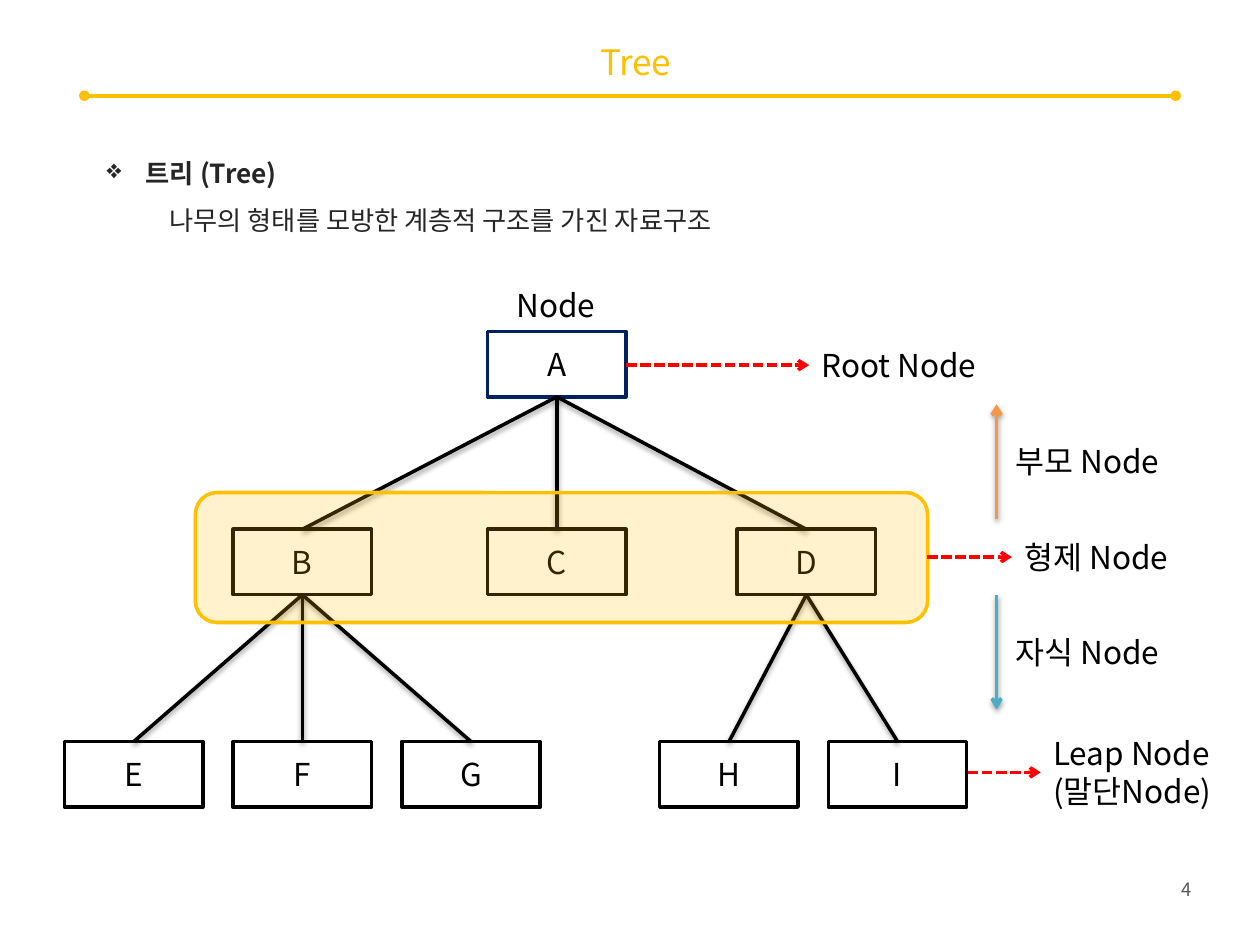
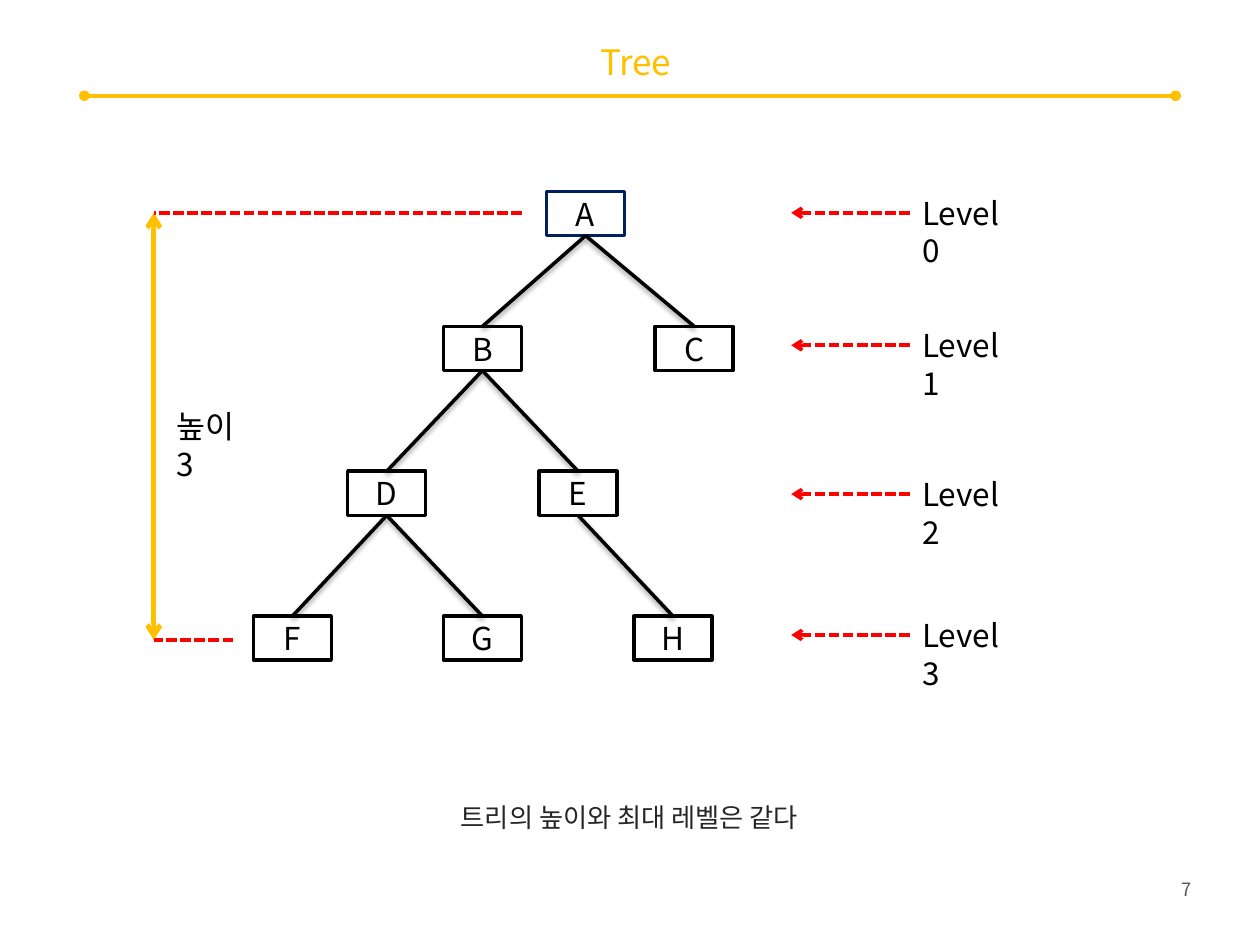
from dataclasses import dataclass

from lxml import etree
from pptx import Presentation
from pptx.dml.color import RGBColor
from pptx.enum.dml import MSO_LINE
from pptx.enum.shapes import MSO_CONNECTOR, MSO_SHAPE
from pptx.enum.text import MSO_ANCHOR, MSO_AUTO_SIZE, PP_ALIGN
from pptx.oxml.ns import qn
from pptx.util import Cm, Pt

LEFT, CENTER, RIGHT = PP_ALIGN.LEFT, PP_ALIGN.CENTER, PP_ALIGN.RIGHT
MIDDLE = MSO_ANCHOR.MIDDLE
FIT_SHAPE = MSO_AUTO_SIZE.SHAPE_TO_FIT_TEXT
RECTANGLE, ROUNDED = MSO_SHAPE.RECTANGLE, MSO_SHAPE.ROUNDED_RECTANGLE
STRAIGHT = MSO_CONNECTOR.STRAIGHT
SHORT_DASH = MSO_LINE.SQUARE_DOT
TOP_SITE, BOTTOM_SITE = 0, 2


@dataclass(frozen=True)
class Theme:
    font: str = "Noto Sans CJK KR"
    gold: str = "FFC000"
    navy: str = "002060"
    black: str = "000000"
    white: str = "FFFFFF"
    red: str = "FF0000"
    orange: str = "F79646"
    teal: str = "4BACC6"
    body: str = "262626"
    gray: str = "595959"
    title_size: float = 20
    label_size: float = 18
    body_size: float = 15
    number_size: float = 10.5
    line_width: float = 2
    height_width: float = 2.75


THEME = Theme()


# Text
def style_paragraph(paragraph, size, color, align=LEFT, bold=False):
    paragraph.alignment = align
    font = paragraph.font
    font.size, font.bold = Pt(size), bold
    font.color.rgb = RGBColor.from_string(color)
    font.name = THEME.font
    properties = paragraph._p.get_or_add_pPr().find(qn("a:defRPr"))
    etree.SubElement(properties, qn("a:ea"), typeface=THEME.font)


def add_text(slide, lines, box, size=THEME.label_size, color=THEME.black,
             align=LEFT, wrap=False, spacing=None):
    shape = slide.shapes.add_textbox(*map(Cm, box))
    frame = shape.text_frame
    frame.word_wrap = wrap
    frame.auto_size = FIT_SHAPE
    frame.text = "\n".join(lines)
    for paragraph in frame.paragraphs:
        style_paragraph(paragraph, size, color, align)
        if spacing:
            paragraph.line_spacing = spacing
    return frame


def add_label(slide, text, left, middle, width):
    height = 1.02
    add_text(slide, [text], (left, middle - height / 2, width, height))


def set_indent(paragraph, margin, first_line=0, bullet=None):
    properties = paragraph._p.get_or_add_pPr()
    properties.set("marL", str(Cm(margin)))
    properties.set("indent", str(Cm(first_line)))
    if bullet:
        mark = etree.Element(qn("a:buChar"), char=bullet)
        properties.find(qn("a:defRPr")).addprevious(mark)


# Lines
def add_line(slide, start, end, color, width=THEME.line_width, head=None,
             tail=None, dashed=False, shadow=False):
    line = slide.shapes.add_connector(STRAIGHT, *map(Cm, start + end))
    line.line.color.rgb = RGBColor.from_string(color)
    line.line.width = Pt(width)
    if dashed:
        line.line.dash_style = SHORT_DASH
    properties = line._element.spPr
    outline = properties.find(qn("a:ln"))
    for tag, kind in (("a:headEnd", head), ("a:tailEnd", tail)):
        if kind:
            etree.SubElement(outline, qn(tag), type=kind)
    effects = etree.SubElement(properties, qn("a:effectLst"))
    if shadow:
        outer = etree.SubElement(
            effects, qn("a:outerShdw"), blurRad=str(Pt(3.1)),
            dist=str(Pt(1.6)), dir="5400000", rotWithShape="0")
        tint = etree.SubElement(outer, qn("a:srgbClr"), val=THEME.black)
        etree.SubElement(tint, qn("a:alpha"), val="38000")
    return line


def add_pointer(slide, x_start, x_end, y):
    add_line(slide, (x_start, y), (x_end, y), THEME.red, tail="arrow", dashed=True)


# Tree
def add_box(slide, box, outline, kind=RECTANGLE, fill=None):
    shape = slide.shapes.add_shape(kind, *map(Cm, box))
    shape.shadow.inherit = False
    if fill:
        shape.fill.solid()
        shape.fill.fore_color.rgb = RGBColor.from_string(fill)
    else:
        shape.fill.background()
    shape.line.color.rgb = RGBColor.from_string(outline)
    shape.line.width = Pt(THEME.line_width)
    return shape


def add_node(slide, name, box):
    if name == "A":
        shape = add_box(slide, box, THEME.navy)
    else:
        shape = add_box(slide, box, THEME.black, fill=THEME.white)
    frame = shape.text_frame
    frame.text = name
    frame.vertical_anchor = MIDDLE
    style_paragraph(frame.paragraphs[0], THEME.label_size, THEME.black, CENTER)
    return shape


def add_tree(slide, positions, node_size, edges):
    nodes = {name: add_node(slide, name, position + node_size)
             for name, position in positions.items()}
    for parent, child in edges:
        branch = add_line(slide, (0, 0), (1, 1), THEME.black, shadow=True)
        branch.begin_connect(nodes[parent], BOTTOM_SITE)
        branch.end_connect(nodes[child], TOP_SITE)


# Slides
def add_slide(presentation, number):
    slide = presentation.slides.add_slide(presentation.slide_layouts[6])
    add_line(slide, (1.7, 1.93), (23.7, 1.93), THEME.gold, head="oval", tail="oval")
    add_text(slide, [number], (22.78, 17.58, 1.5, 0.74), THEME.number_size,
             THEME.gray, RIGHT)
    title = add_text(slide, ["Tree"], (2.11, 0.76, 21.41, 0.97),
                     THEME.title_size, THEME.gold, CENTER, wrap=True)
    title.auto_size = MSO_AUTO_SIZE.NONE
    title.vertical_anchor = MIDDLE
    return slide


def add_sibling_band(slide):
    band = add_box(slide, (3.94, 9.93, 14.76, 2.62), THEME.gold, ROUNDED, THEME.gold)
    color = band._element.spPr.find(qn("a:solidFill")).find(qn("a:srgbClr"))
    etree.SubElement(color, qn("a:alpha"), val="20000")


def build_terms_slide(presentation):
    slide = add_slide(presentation, "4")
    definition = add_text(
        slide, ["트리 (Tree)", "나무의 형태를 모방한 계층적 구조를 가진 자료구조"],
        (1.9, 2.72, 21.39, 2.18), THEME.body_size, THEME.body, wrap=True, spacing=1.5)
    heading, detail = definition.paragraphs
    heading.font.bold = True
    set_indent(heading, 0.79, -0.79, "❖")
    detail.level = 1
    set_indent(detail, 1.27)

    middle_row, bottom_row = 10.67, 14.95
    positions = {"A": (9.83, 6.68), "B": (4.7, middle_row),
                 "C": (9.83, middle_row), "D": (14.86, middle_row)}
    for first_left, names in ((1.3, "EFG"), (13.3, "HI")):
        for index, name in enumerate(names):
            positions[name] = (first_left + 3.4 * index, bottom_row)
    add_tree(slide, positions, (2.79, 1.32),
             ("AB", "AC", "AD", "BE", "BF", "BG", "DH", "DI"))
    add_sibling_band(slide)

    # Names of the kinds of node
    add_label(slide, "Node", 10.16, 6.15, 2.11)
    for text, x_start, x_end, y, width in (
            ("Root Node", 12.62, 16.31, 7.36, 3.71),
            ("형제 Node", 18.69, 20.4, 11.23, 3.63)):
        add_pointer(slide, x_start, x_end, y)
        add_label(slide, text, x_end, y, width)
    add_pointer(slide, 19.51, 20.98, 15.57)
    add_text(slide, ["Leap Node", "(말단Node)"], (20.98, 14.68, 3.78, 1.8), wrap=True)

    # Directions to parent and child
    for text, color, y_start, y_end in (("부모 Node", THEME.orange, 10.46, 8.15),
                                        ("자식 Node", THEME.teal, 11.99, 14.3)):
        add_line(slide, (20.09, y_start), (20.09, y_end), color,
                 tail="arrow", shadow=True)
        add_label(slide, text, 20.22, (y_start + y_end) / 2, 3.63)


def build_levels_slide(presentation):
    slide = add_slide(presentation, "7")
    rows = (3.86, 6.58, 9.5, 12.42)
    columns = ({"A": 11.02}, {"B": 8.94, "C": 13.21}, {"D": 7.01, "E": 10.87},
               {"F": 5.11, "G": 8.94, "H": 12.78})
    positions = {name: (left, top) for top, row in zip(rows, columns)
                 for name, left in row.items()}
    add_tree(slide, positions, (1.57, 0.89),
             ("AB", "AC", "BD", "BE", "DF", "DG", "EH"))

    # Levels
    for level, y in enumerate((4.29, 6.96, 9.96, 12.8)):
        add_pointer(slide, 18.34, 15.95, y)
        add_label(slide, f"Level {level}", 18.34, y, 2.54)

    # Height
    top, bottom, left = 4.29, 12.9, 3.1
    add_line(slide, (left, top), (left, bottom), THEME.gold, THEME.height_width,
             head="arrow", tail="arrow")
    for right, y in ((10.52, top), (4.7, bottom)):
        add_line(slide, (right, y), (left, y), THEME.red, dashed=True)
    add_text(slide, ["높이 3"], (3.3, 8.08, 1.95, 1.02), wrap=True)
    add_text(slide, ["트리의 높이와 최대 레벨은 같다"], (9.04, 15.72, 9.4, 1.12),
             THEME.body_size, THEME.body, wrap=True, spacing=1.5)


def main():
    presentation = Presentation()
    presentation.slide_width, presentation.slide_height = Cm(25.4), Cm(19.05)
    build_terms_slide(presentation)
    build_levels_slide(presentation)
    presentation.save("out.pptx")


if __name__ == "__main__":
    main()
